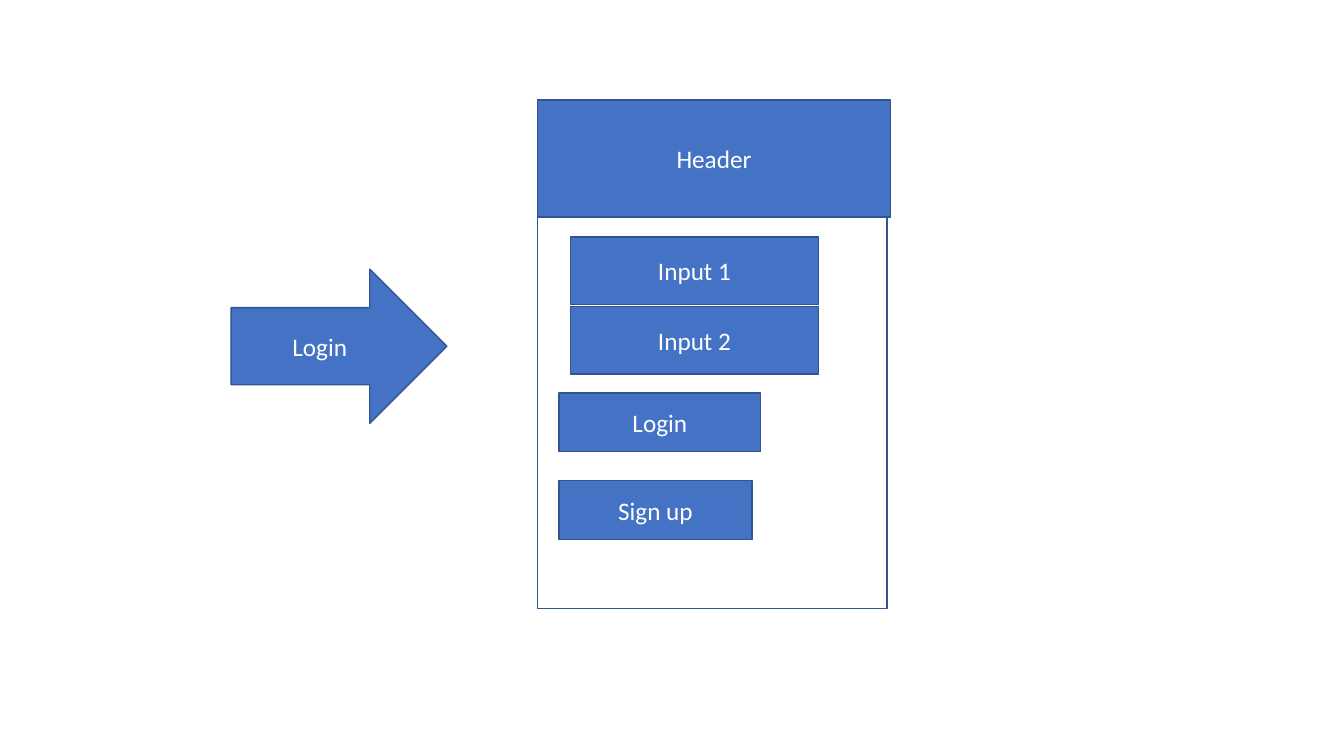
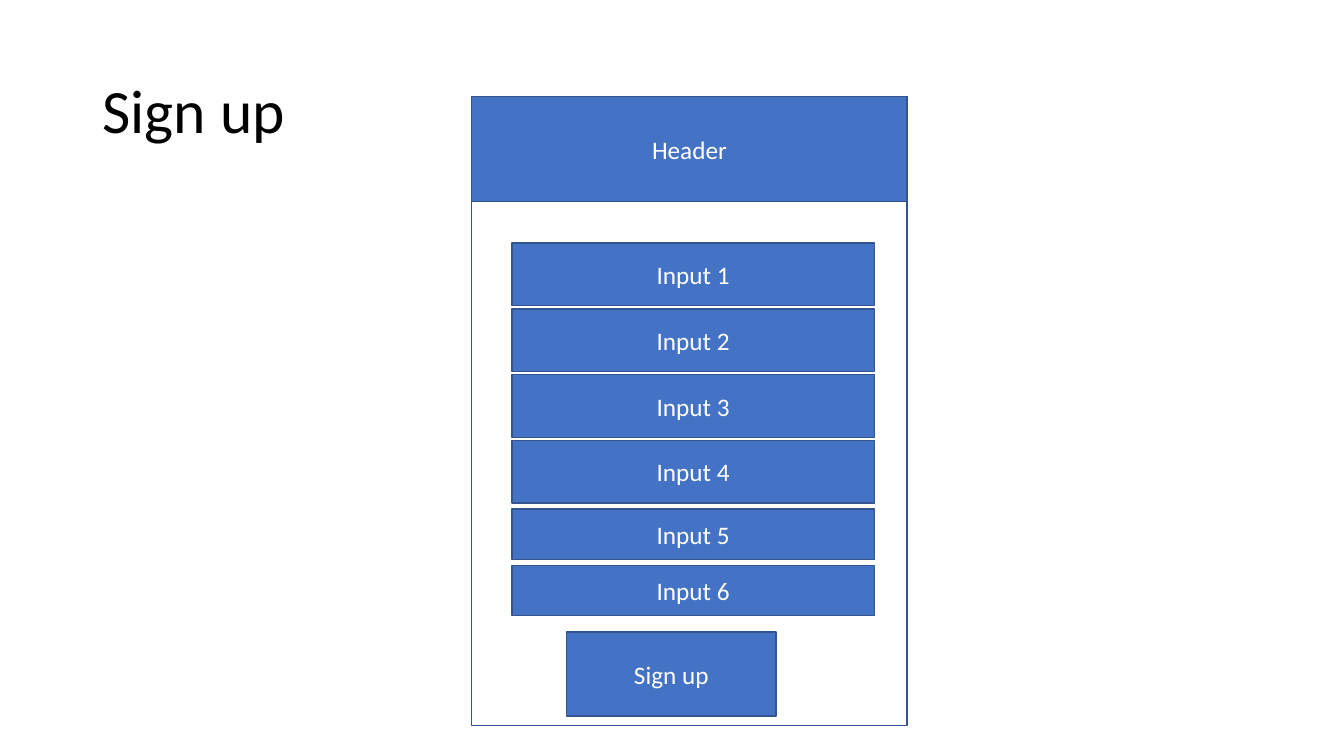
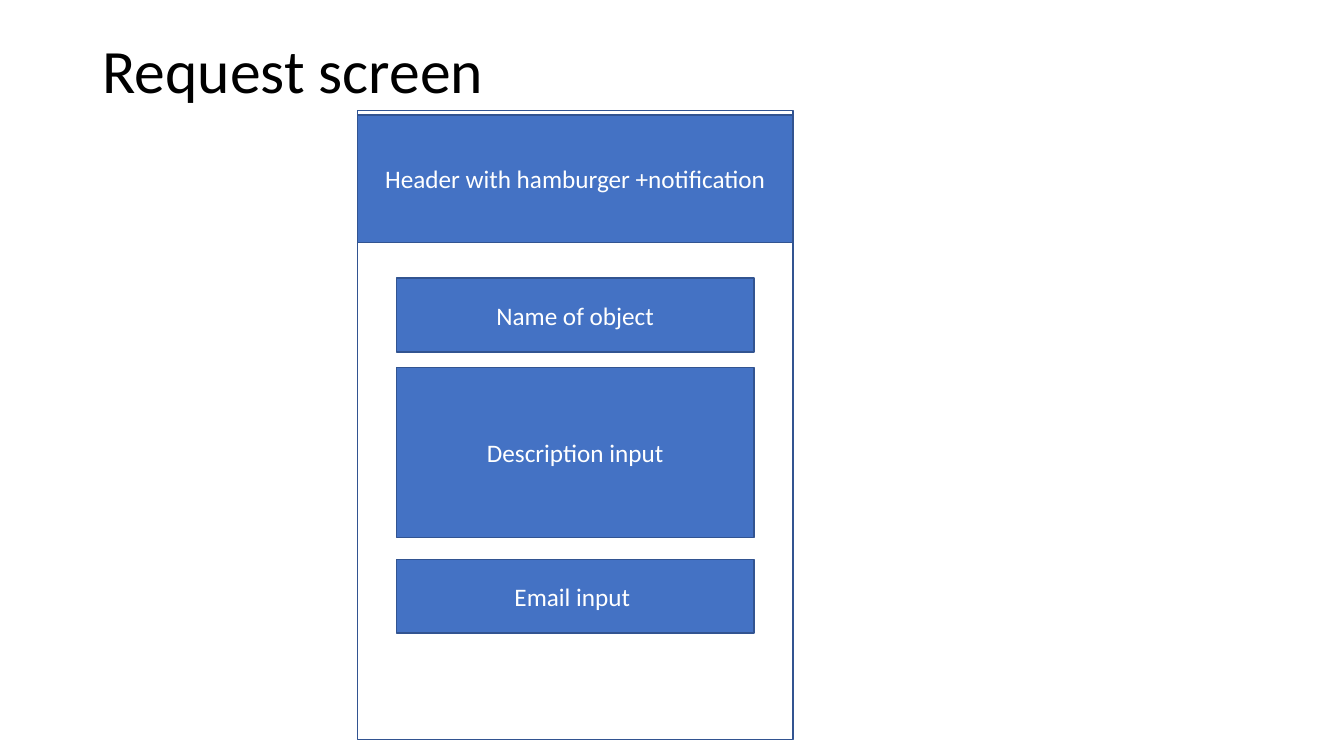
from dataclasses import dataclass

from pptx import Presentation
from pptx.dml.color import RGBColor
from pptx.enum.shapes import MSO_SHAPE
from pptx.enum.text import MSO_ANCHOR, PP_ALIGN
from pptx.util import Inches, Pt

RECT, ARROW = MSO_SHAPE.RECTANGLE, MSO_SHAPE.RIGHT_ARROW
LEFT, CENTER = PP_ALIGN.LEFT, PP_ALIGN.CENTER
MIDDLE = MSO_ANCHOR.MIDDLE
TITLED, BLANK = 5, 6
WIDE, HIGH = Inches(13.333), Inches(7.5)


@dataclass(frozen=True)
class Theme:
    """Colours, font and type sizes of the deck."""
    fill: str = "4472C4"
    edge: str = "325491"
    paper: str = "FFFFFF"
    ink: str = "000000"
    font: str = "Calibri"
    head: int = 44
    body: int = 18
    line: int = 1


THEME = Theme()


def apply(item, values):
    """Set each attribute in values on item."""
    for key, value in values.items():
        setattr(item, key, value)


def area(x, y, w, h):
    """Turn percentages of the slide into a place and size."""
    return {"left": round(WIDE * x / 100), "top": round(HIGH * y / 100),
            "width": round(WIDE * w / 100), "height": round(HIGH * h / 100)}


def write(shape, text, size, color, align, lead=1.0):
    """Put one styled paragraph into a shape."""
    frame = shape.text_frame
    apply(frame, {"text": text, "word_wrap": True, "vertical_anchor": MIDDLE})
    para = frame.paragraphs[0]
    apply(para, {"alignment": align, "line_spacing": lead})
    font = para.runs[0].font
    apply(font, {"name": THEME.font, "size": Pt(size)})
    font.color.rgb = RGBColor.from_string(color)


def block(slide, place, text="", fill=THEME.fill, kind=RECT):
    """Draw an outlined block with an optional label."""
    shape = slide.shapes.add_shape(kind, **area(*place))
    shape.shadow.inherit = False
    shape.fill.solid()
    shape.fill.fore_color.rgb = RGBColor.from_string(fill)
    shape.line.color.rgb = RGBColor.from_string(THEME.edge)
    shape.line.width = Pt(THEME.line)
    if text:
        write(shape, text, THEME.body, THEME.paper, CENTER)


def screen(slide, frame, header, text="Header"):
    """Draw the empty app screen and its header."""
    block(slide, frame, fill=THEME.paper)
    block(slide, header, text)


def inputs(slide, place, step, count, first=1):
    """Stack numbered input fields at an equal step."""
    x, y, w, h = place
    for i in range(count):
        block(slide, (x, y + i * step, w, h), f"Input {first + i}")


def titled(deck, text, top):
    """Add a slide with a title at the given height."""
    slide = deck.slides.add_slide(deck.slide_layouts[TITLED])
    title = slide.shapes.title
    apply(title, area(6.88, top, 86.25, 19.33))
    write(title, text, THEME.head, THEME.ink, LEFT, 0.9)
    return slide


def login(deck):
    """Build the login screen."""
    slide = deck.slides.add_slide(deck.slide_layouts[BLANK])
    screen(slide, (40, 13.2, 26, 67.3), (40, 13.2, 26.25, 15.5))
    inputs(slide, (42.45, 31.35, 18.45, 8.95), 9.2, 2)
    block(slide, (41.6, 52, 15, 7.75), "Login")
    block(slide, (41.6, 63.6, 14.35, 7.75), "Sign up")
    block(slide, (17.2, 35.6, 16.05, 20.4), "Login", kind=ARROW)


def signup(deck):
    """Build the sign-up screen."""
    slide = titled(deck, "Sign up", 5.33)
    screen(slide, (35.1, 12.8, 32.4, 83.2), (35.1, 12.8, 32.4, 13.9))
    inputs(slide, (38.1, 32.15, 26.95, 8.3), 8.7, 4)
    inputs(slide, (38.1, 67.35, 26.95, 6.65), 7.45, 2, 5)
    block(slide, (42.15, 83.6, 15.6, 11.1), "Sign up")


def request(deck):
    """Build the request screen."""
    slide = titled(deck, "Request screen", 0)
    screen(slide, (26.6, 14.65, 32.4, 83.2), (26.6, 15.2, 32.4, 16.85),
           "Header with hamburger +notification")
    for text, y, h in (("Name of object", 36.8, 9.75),
                       ("Description input", 48.65, 22.45),
                       ("Email input ", 74, 9.75)):
        block(slide, (29.5, y, 26.6, h), text)


def main():
    """Build and save the deck."""
    deck = Presentation()
    apply(deck, {"slide_width": WIDE, "slide_height": HIGH})
    for build in (login, signup, request):
        build(deck)
    deck.save("out.pptx")


main()
